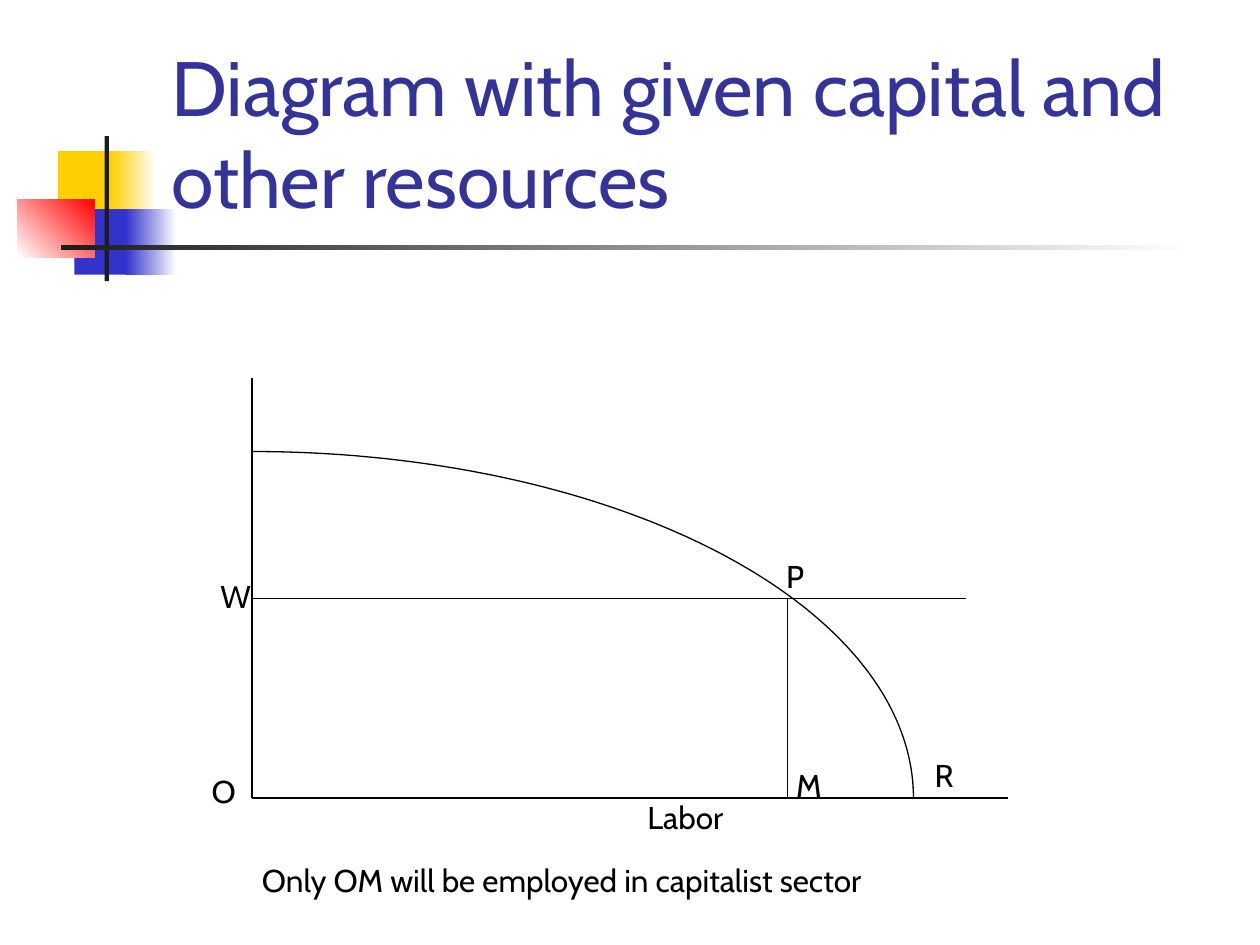
import math

from lxml import etree
from pptx import Presentation
from pptx.dml.color import RGBColor
from pptx.enum.shapes import MSO_CONNECTOR, MSO_SHAPE
from pptx.enum.text import MSO_ANCHOR, MSO_AUTO_SIZE, PP_ALIGN
from pptx.oxml.ns import qn
from pptx.util import Pt

STRAIGHT = MSO_CONNECTOR.STRAIGHT
RECTANGLE = MSO_SHAPE.RECTANGLE
BOTTOM = MSO_ANCHOR.BOTTOM
TOP = MSO_ANCHOR.TOP
NO_FIT = MSO_AUTO_SIZE.NONE
GROW = MSO_AUTO_SIZE.SHAPE_TO_FIT_TEXT
LEFT = PP_ALIGN.LEFT

TITLE_ONLY = 5
YELLOW = RGBColor(0xFF, 0xCF, 0x01)
BLUE = RGBColor(0x33, 0x33, 0xCC)
RED = RGBColor(0xFF, 0x00, 0x00)
CHARCOAL = RGBColor(0x1C, 0x1C, 0x1C)
NAVY = RGBColor(0x33, 0x33, 0x99)
BLACK = RGBColor(0x00, 0x00, 0x00)
WHITE = RGBColor(0xFF, 0xFF, 0xFF)

ORIGIN_X, ORIGIN_Y = 144, 456
AXIS_TOP, AXIS_RIGHT = 216, 576
WAGE_Y, WAGE_RIGHT = 342, 552
EMPLOYED_X = 450
CURVE_WIDTH, CURVE_HEIGHT = 378, 198
CURVE_STEPS = 90

BLOCKS = [
    (33.1, 86.4, 34.6, 37.4, YELLOW, None, 0),
    (63.4, 86.4, 25.9, 37.4, YELLOW, WHITE, 0),
    (42.5, 119.5, 33.1, 37.4, BLUE, None, 0),
    (72, 119.5, 28.8, 37.4, BLUE, WHITE, 0),
    (10, 113.8, 44, 33.1, WHITE, RED, 45),
    (59.8, 77.8, 2.4, 82.8, CHARCOAL, None, 0),
    (34.6, 140.2, 648, 2.4, CHARCOAL, WHITE, 0),
]
AXES_AND_WAGE = [
    (ORIGIN_X, AXIS_TOP, ORIGIN_X, ORIGIN_Y),
    (ORIGIN_X, ORIGIN_Y, AXIS_RIGHT, ORIGIN_Y),
    (ORIGIN_X, WAGE_Y, WAGE_RIGHT, WAGE_Y),
]
LABELS = [
    ("O", 113.8, 437.8, 18, True),
    ("M", 447.8, 434.2, 30.2, False),
    ("W", 118.8, 326.2, 31, False),
    ("P", 442.1, 314.6, 25.2, False),
    ("R", 527, 428.4, 25.2, False),
    ("Only OM will be employed in capitalist sector", 142.6, 488.2, 535, True),
    ("Labor", 362.9, 452.2, 63.4, False),
]


def write_text(shape, text, size=18, color=BLACK, anchor=TOP, wrap=True, fit=GROW):
    frame = shape.text_frame
    frame.word_wrap = wrap
    frame.auto_size = fit
    frame.vertical_anchor = anchor
    paragraph = frame.paragraphs[0]
    paragraph.text = text
    paragraph.alignment = LEFT
    font = paragraph.runs[0].font
    font.name = "Cabin"
    font.size = Pt(size)
    font.color.rgb = color


class DiagramSlide:
    """Hold the line style and the slide being drawn."""

    def __init__(self, slide, line_color=BLACK, line_width=0.75):
        self.slide = slide
        self.shapes = slide.shapes
        self.line_color = line_color
        self.line_width = Pt(line_width)

    def style_line(self, shape):
        shape.line.color.rgb = self.line_color
        shape.line.width = self.line_width

    def title(self, text, left, top, width, height):
        shape = self.shapes.title
        shape.left, shape.top = Pt(left), Pt(top)
        shape.width, shape.height = Pt(width), Pt(height)
        write_text(shape, text, size=44, color=NAVY, anchor=BOTTOM, fit=NO_FIT)

    def block(self, left, top, width, height, color, end_color, angle):
        shape = self.shapes.add_shape(
            RECTANGLE, Pt(left), Pt(top), Pt(width), Pt(height)
        )
        shape.shadow.inherit = False
        shape.line.fill.background()
        if end_color is None:
            shape.fill.solid()
            shape.fill.fore_color.rgb = color
            return
        shape.fill.gradient()
        shape.fill.gradient_angle = angle
        stops = shape.fill.gradient_stops
        for stop, stop_color in zip(stops, (color, end_color)):
            stop.color.rgb = stop_color
        stops[0].position, stops[1].position = 0, 1

    def line(self, start_x, start_y, end_x, end_y):
        connector = self.shapes.add_connector(
            STRAIGHT, Pt(start_x), Pt(start_y), Pt(end_x), Pt(end_y)
        )
        self.style_line(connector)
        etree.SubElement(connector._element.spPr, qn("a:effectLst"))

    def quarter_ellipse(self, center_x, center_y, width, height):
        angles = [step * math.pi / 2 / CURVE_STEPS for step in range(CURVE_STEPS + 1)]
        points = [
            (Pt(center_x + width * math.sin(angle)), Pt(center_y - height * math.cos(angle)))
            for angle in angles
        ]
        builder = self.shapes.build_freeform(*points[0])
        builder.add_line_segments(points[1:], close=False)
        curve = builder.convert_to_shape()
        curve.shadow.inherit = False
        curve.fill.background()
        self.style_line(curve)

    def label(self, text, left, top, width, wrap):
        box = self.shapes.add_textbox(Pt(left), Pt(top), Pt(width), Pt(28.8))
        write_text(box, text, wrap=wrap)


def main():
    presentation = Presentation()
    presentation.slide_width = Pt(720)
    presentation.slide_height = Pt(540)
    layout = presentation.slide_layouts[TITLE_ONLY]
    diagram = DiagramSlide(presentation.slides.add_slide(layout))

    for block in BLOCKS:
        diagram.block(*block)
    diagram.title(
        "Diagram with given capital and other resources", 90.7, 16.6, 613.4, 115.2
    )
    for line in AXES_AND_WAGE:
        diagram.line(*line)
    diagram.quarter_ellipse(ORIGIN_X, ORIGIN_Y, CURVE_WIDTH, CURVE_HEIGHT)
    diagram.line(EMPLOYED_X, WAGE_Y, EMPLOYED_X, ORIGIN_Y)
    for label in LABELS:
        diagram.label(*label)

    presentation.save("out.pptx")


if __name__ == "__main__":
    main()
